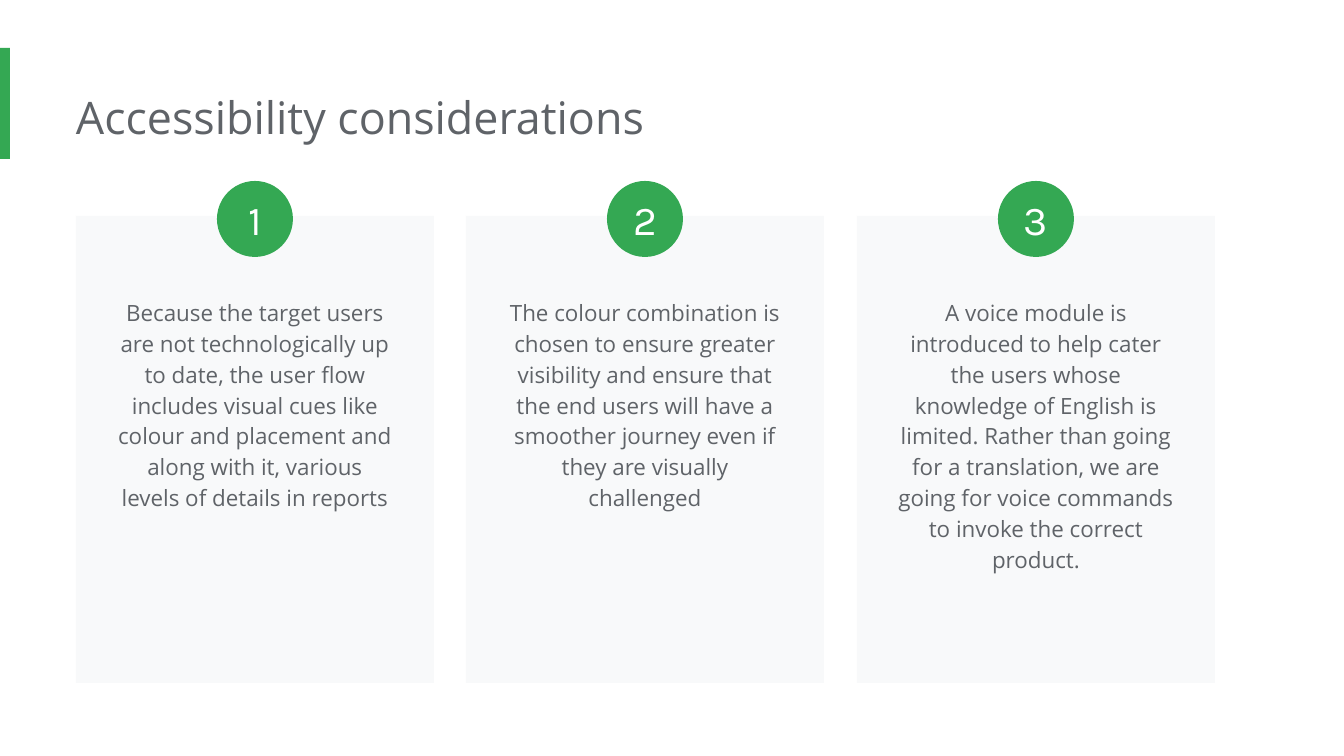
from pptx import Presentation
from pptx import util as u
from pptx.dml.color import RGBColor
from pptx.enum import shapes, text

PX = 914400 / 134.4  # EMU in one px
COLORS = {"green": "34A853", "card": "F8F9FA", "text": "5F6368", "white": "FFFFFF"}

prs = Presentation()
prs.slide_width, prs.slide_height = round(1344 * PX), round(756 * PX)
slide = prs.slides.add_slide(prs.slide_layouts[6])


def add_block(kind, color, *box):
    """Add a preset shape, or a text box when kind is None; box is in px."""
    box = [round(v * PX) for v in box]
    if kind is None:
        return slide.shapes.add_textbox(*box)
    block = slide.shapes.add_shape(kind, *box)
    block.shadow.inherit = False
    block.fill.solid()
    block.fill.fore_color.rgb = RGBColor.from_string(COLORS[color])
    block.line.fill.background()
    return block


def write(block, words, size, font, color, align, margins):
    """Fill a block with one paragraph; margins are left, top, right, bottom in px."""
    frame = block.text_frame
    frame.word_wrap = True
    frame.margin_left, frame.margin_top, frame.margin_right, frame.margin_bottom = (
        round(m * PX) for m in margins)
    frame.text = words
    paragraph = frame.paragraphs[0]
    paragraph.alignment = align
    run = paragraph.runs[0]
    run.font.size = u.Pt(size)
    run.font.name = font
    run.font.color.rgb = RGBColor.from_string(COLORS[color])
    return frame


RECT, OVAL = shapes.MSO_SHAPE.RECTANGLE, shapes.MSO_SHAPE.OVAL
LEFT, CENTER = text.PP_ALIGN.LEFT, text.PP_ALIGN.CENTER

# Accent bar and title
add_block(RECT, "green", 0, 48, 10, 111)
title = add_block(None, None, 76, 77, 1030, 82)
write(title, "Accessibility considerations", 24, "Open Sans", "text", LEFT, (0, 13, 13, 13))

# Three numbered cards
considerations = [
    "Because the target users are not technologically up to date, the user flow "
    "includes visual cues like colour and placement and along with it, various "
    "levels of details in reports",
    "The colour combination is chosen to ensure greater visibility and ensure that "
    "the end users will have a smoother journey even if they are visually challenged",
    "A voice module is introduced to help cater the users whose knowledge of English "
    "is limited. Rather than going for a translation, we are going for voice commands "
    "to invoke the correct product.",
]
CARD_WIDTH, BODY_WIDTH, BADGE = 358, 302, 76
for index, consideration in enumerate(considerations):
    card_left = 76 + index * 781 // 2
    middle = card_left + CARD_WIDTH // 2

    # Card and its text
    add_block(RECT, "card", card_left, 216, CARD_WIDTH, 467)
    body = add_block(None, None, middle - BODY_WIDTH // 2, 282, BODY_WIDTH, 308 if index == 2 else 246)
    frame = write(body, consideration, 12, "Open Sans", "text", CENTER, (13, 13, 13, 13))
    frame.paragraphs[0].line_spacing = 1.15

    # Number badge on the card's top edge
    badge = add_block(OVAL, "green", middle - BADGE // 2, 181, BADGE, BADGE)
    frame = write(badge, str(index + 1), 22, "Karla", "white", CENTER, (0, 0, 0, 0))
    frame.vertical_anchor = text.MSO_ANCHOR.MIDDLE

prs.save("out.pptx")
